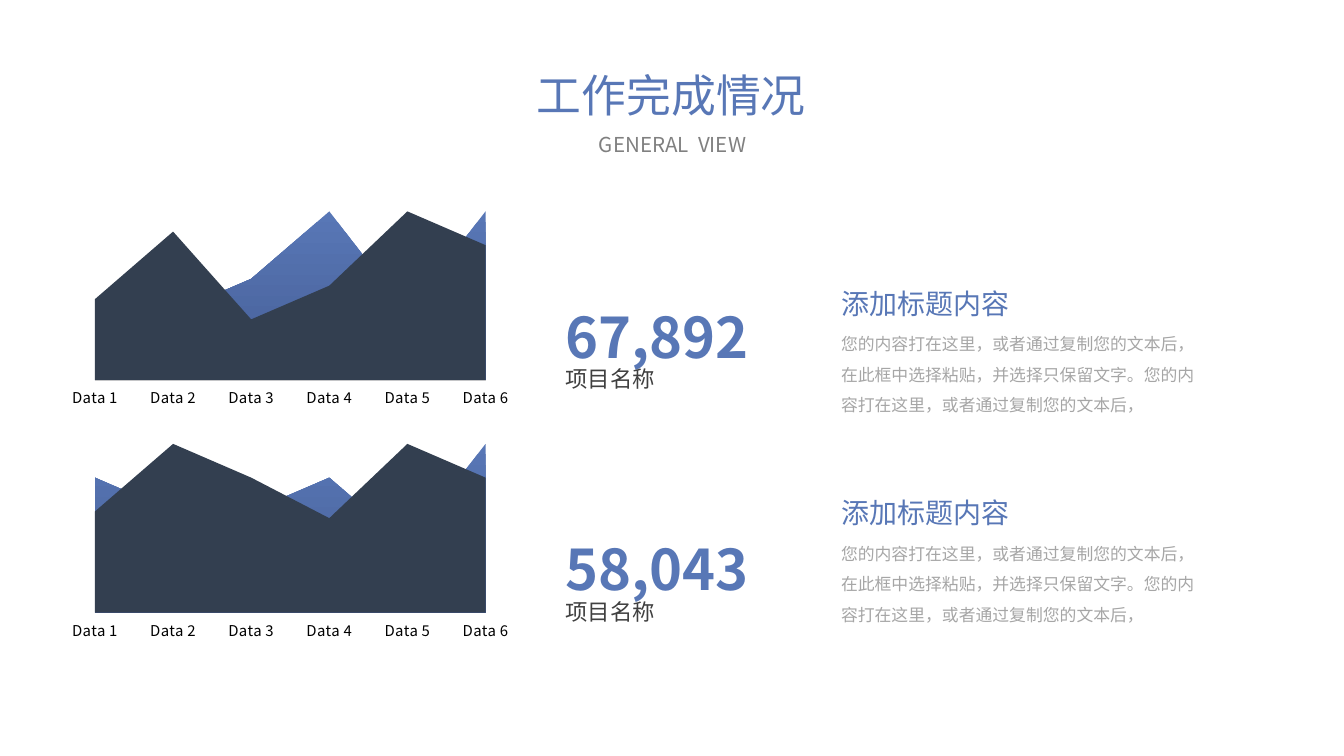
from dataclasses import dataclass

from lxml import etree
from pptx import Presentation
from pptx.chart.data import CategoryChartData
from pptx.dml.color import RGBColor
from pptx.enum.chart import XL_CHART_TYPE, XL_TICK_LABEL_POSITION, XL_TICK_MARK
from pptx.enum.text import MSO_ANCHOR, MSO_AUTO_SIZE, PP_ALIGN
from pptx.oxml import parse_xml
from pptx.oxml.ns import nsdecls, qn
from pptx.util import Inches, Pt

AREA = XL_CHART_TYPE.AREA
NO_TICK = XL_TICK_MARK.NONE
NEXT = XL_TICK_LABEL_POSITION.NEXT_TO_AXIS
TOP = MSO_ANCHOR.TOP
GROW = MSO_AUTO_SIZE.SHAPE_TO_FIT_TEXT
LEFT, CENTER = PP_ALIGN.LEFT, PP_ALIGN.CENTER


@dataclass(frozen=True)
class Theme:
    font: str = "Noto Sans CJK SC"
    blue: tuple = ("5877B6", "465E96")
    navy: str = "333F50"
    dark: str = "404040"
    gray: str = "808080"
    pale: str = "A6A6A6"
    axis: str = "D9D9D9"
    black: str = "000000"
    title: int = 24
    sub: int = 11
    figure: int = 30
    label: int = 12
    head: int = 15
    body: int = 9
    chart: int = 8


@dataclass(frozen=True)
class Box:
    left: float
    top: float
    width: float
    height: float

    def place(self) -> tuple:
        return tuple(map(Inches, (self.left, self.top, self.width, self.height)))


@dataclass(frozen=True)
class Style:
    size: int
    color: str | tuple
    bold: bool = False
    align: PP_ALIGN = LEFT
    spacing: float = 1.0


@dataclass(frozen=True)
class Item:
    top: float
    note_top: float
    figure: str
    front: tuple
    back: tuple


THEME = Theme()
TITLE = Style(THEME.title, THEME.blue, align=CENTER)
SUB = Style(THEME.sub, THEME.gray, align=CENTER)
FIGURE = Style(THEME.figure, THEME.blue, bold=True, spacing=1.2)
LABEL = Style(THEME.label, THEME.dark, spacing=1.2)
HEAD = Style(THEME.head, THEME.blue, spacing=1.2)
BODY = Style(THEME.body, THEME.pale, spacing=1.5)

CATS = [f"Data {n}" for n in range(1, 7)]
NOTE = (
    "您的内容打在这里，或者通过复制您的文本后，"
    "在此框中选择粘贴，并选择只保留文字。"
    "您的内容打在这里，或者通过复制您的文本后，"
)
ITEMS = (
    Item(1.29, 2.03, "67,892", (48, 88, 36, 56, 100, 80), (40, 40, 60, 100, 40, 100)),
    Item(3.02, 3.59, "58,043", (60, 100, 80, 56, 100, 80), (80, 60, 60, 80, 40, 100)),
)
PLOT = {"x": 0.07, "y": 0.16, "w": 0.86, "h": 0.71}


def paint(fill, color: str | tuple) -> None:
    """Fill with one colour, or with a pair running from top to bottom."""
    if isinstance(color, str):
        fill.solid()
        fill.fore_color.rgb = RGBColor.from_string(color)
        return
    fill.gradient()
    fill.gradient_angle = 270
    for stop, pos, tone in zip(fill.gradient_stops, (0, 1), color):
        stop.position = pos
        stop.color.rgb = RGBColor.from_string(tone)


def write(shape, text: str, style: Style) -> None:
    frame = shape.text_frame
    frame.word_wrap = True
    frame.auto_size = GROW
    frame.vertical_anchor = TOP
    para = frame.paragraphs[0]
    para.alignment = style.align
    para.line_spacing = style.spacing
    run = para.add_run()
    run.text = text
    run.font.size = Pt(style.size)
    run.font.bold = style.bold
    paint(run.font.fill, style.color)
    run.font.name = THEME.font
    etree.SubElement(run.font._element, qn("a:ea"), typeface=THEME.font)


def add_text(slide, box: Box, text: str, style: Style) -> None:
    write(slide.shapes.add_textbox(*box.place()), text, style)


def fix_plot(chart) -> None:
    """Pin the inner plot area and let the areas reach both its edges."""
    area = chart._chartSpace.chart.plotArea
    for old in area.findall(qn("c:layout")):
        area.remove(old)
    modes = "".join(f'<c:{k}Mode val="edge"/>' for k in "xy")
    sizes = "".join(f'<c:{k} val="{v}"/>' for k, v in PLOT.items())
    area.insert(0, parse_xml(
        f'<c:layout {nsdecls("c")}><c:manualLayout><c:layoutTarget val="inner"/>'
        f"{modes}{sizes}</c:manualLayout></c:layout>"
    ))
    for cross in area.iter(qn("c:crossBetween")):
        cross.set("val", "midCat")


def add_areas(slide, box: Box, item: Item) -> None:
    data = CategoryChartData()
    data.categories = CATS
    data.add_series("Series 1", item.front)
    data.add_series("Series 2", item.back)
    chart = slide.shapes.add_chart(AREA, *box.place(), data).chart
    chart.has_legend = chart.has_title = False
    chart.font.name = THEME.font
    chart.font.size = Pt(THEME.chart)
    chart.font.color.rgb = RGBColor.from_string(THEME.black)
    plot = chart.plots[0]
    plot.vary_by_categories = False
    for series, color in zip(plot.series, (THEME.navy, THEME.blue)):
        paint(series.format.fill, color)
        series.format.line.fill.background()

    cats, vals = chart.category_axis, chart.value_axis
    cats.major_tick_mark = cats.minor_tick_mark = NO_TICK
    cats.tick_label_position = NEXT
    cats.has_major_gridlines = vals.has_major_gridlines = False
    cats.format.line.width = Pt(0.75)
    cats.format.line.color.rgb = RGBColor.from_string(THEME.axis)
    vals.minimum_scale, vals.maximum_scale = 0, 100
    vals.visible = False
    fix_plot(chart)


def add_item(slide, item: Item) -> None:
    top, note = item.top, item.note_top
    add_areas(slide, Box(0.47, top, 3.38, 1.77), item)
    add_text(slide, Box(4.11, top + 0.81, 1.82, 0.66), item.figure, FIGURE)
    add_text(slide, Box(4.11, top + 1.34, 2.52, 0.32), "项目名称", LABEL)
    add_text(slide, Box(6.16, note, 2.55, 0.38), "添加标题内容", HEAD)
    add_text(slide, Box(6.16, note + 0.33, 2.86, 0.78), NOTE, BODY)


def main() -> None:
    deck = Presentation()
    deck.slide_width = Inches(10)
    deck.slide_height = deck.slide_width * 9 // 16
    slide = deck.slides.add_slide(deck.slide_layouts[5])
    title = slide.shapes.title
    title.left, title.top, title.width, title.height = Box(3.7, 0.45, 2.59, 0.5).place()
    write(title, "工作完成情况", TITLE)
    add_text(slide, Box(3.99, 0.93, 2.03, 0.29), "GENERAL  VIEW", SUB)
    for item in ITEMS:
        add_item(slide, item)
    deck.save("out.pptx")


if __name__ == "__main__":
    main()
